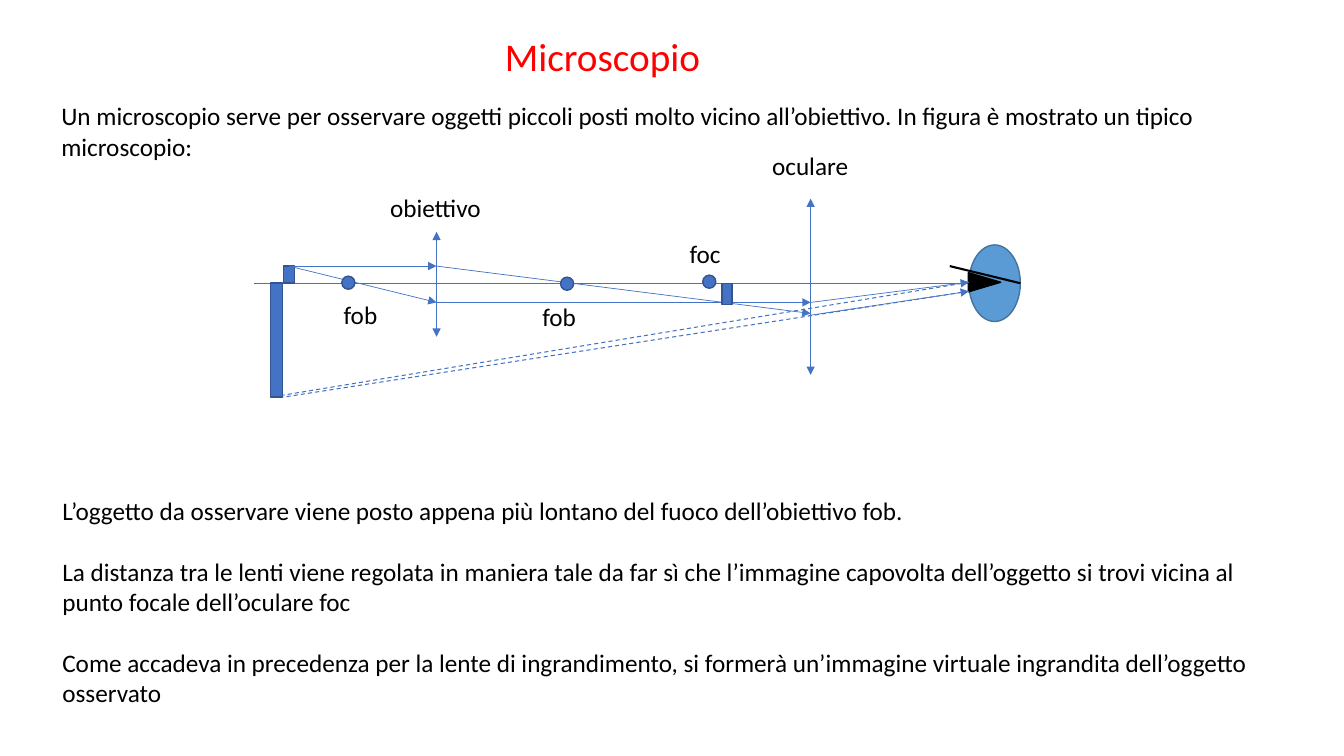
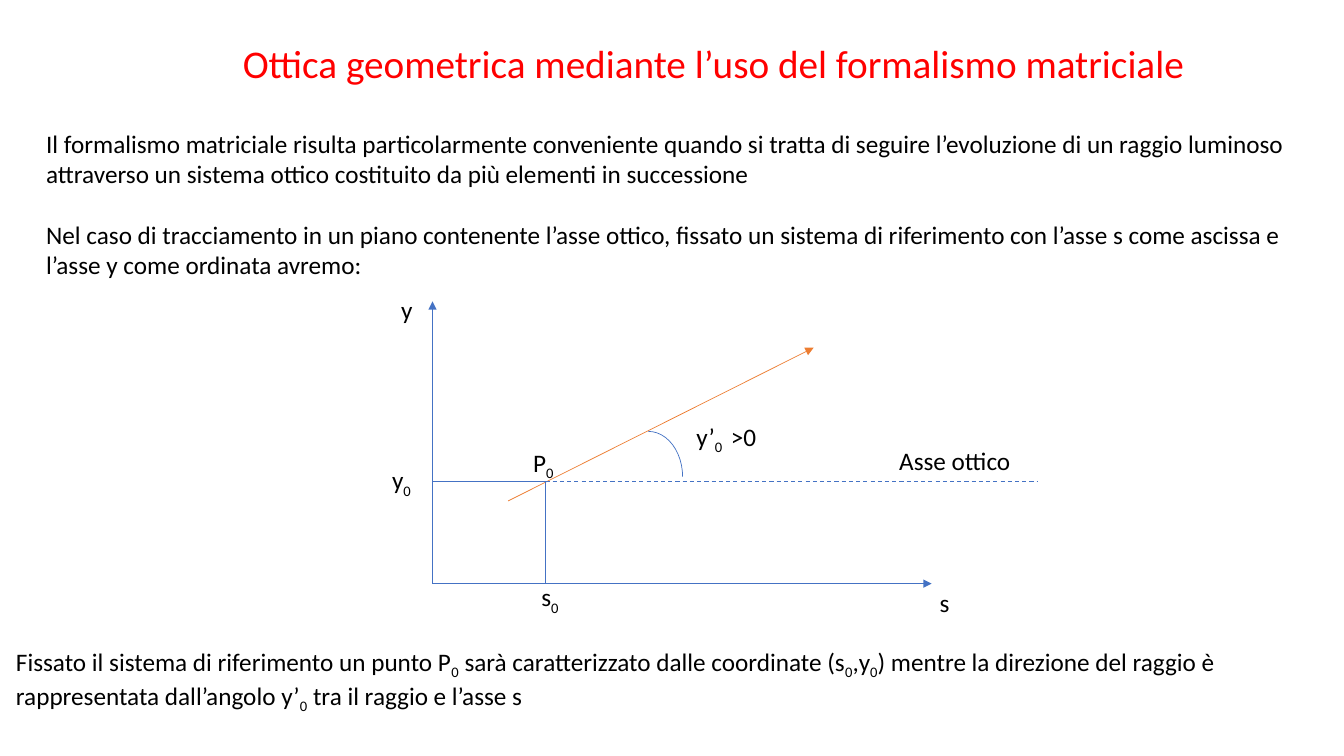
from dataclasses import dataclass
from typing import Any

from lxml import etree
from pptx import Presentation
from pptx import util as u
from pptx.dml.color import RGBColor
from pptx.enum import dml, shapes, text
from pptx.oxml.ns import qn

WIDE, HIGH = 13.33, 7.5
FONT, BODY, HEAD = "Calibri", 18, 28
BLUE, EDGE, EYE, RIM = "4472C4", "325491", "5B9BD5", "43739E"
RED, BLACK, ORANGE = "FF0000", "000000", "ED7D31"
KIND = shapes.MSO_SHAPE


def tint(fill, code):
    """Give a fill one solid colour."""
    fill.solid()
    fill.fore_color.rgb = RGBColor.from_string(code)


@dataclass
class Grid:
    """A box in inches, cut into columns and rows, that draws its items."""
    pen: Any
    box: tuple
    cols: float
    rows: float

    def spot(self, col, row):
        """Turn a grid point into a place on the slide."""
        x, y, w, h = self.box
        return u.Inches(x + col * w / self.cols), u.Inches(y + row * h / self.rows)

    def frame(self, col, row, w, h):
        """Turn a grid cell into left, top, width and height."""
        x, y = self.spot(col, row)
        right, low = self.spot(col + w, row + h)
        return x, y, right - x, low - y

    def shape(self, kind, cell, fill=BLUE, edge=EDGE, width=1):
        """Draw a preset shape in a cell."""
        item = self.pen.add_shape(kind, *self.frame(*cell))
        item.shadow.inherit = False
        if fill:
            tint(item.fill, fill)
        else:
            item.fill.background()
        tint(item.line.fill, edge)
        item.line.width = u.Pt(width)
        return item

    def line(self, start, end, ends="", color=BLUE, width=0.5, dash=False):
        """Draw a line with arrowheads at the named ends."""
        item = self.pen.add_connector(
            shapes.MSO_CONNECTOR.STRAIGHT, *self.spot(*start), *self.spot(*end))
        tint(item.line.fill, color)
        item.line.width = u.Pt(width)
        if dash:
            item.line.dash_style = dml.MSO_LINE.DASH
        props = item._element.spPr
        for name in ends.split():
            etree.SubElement(props.find(qn("a:ln")), qn(f"a:{name}End"), type="triangle")
        etree.SubElement(props, qn("a:effectLst"))
        return item

    def words(self, cell, *lines, size=BODY, color=BLACK, wrap=False):
        """Write paragraphs, lowering each character after an underscore."""
        frame = self.pen.add_textbox(*self.frame(*cell)).text_frame
        frame.word_wrap = wrap
        frame.auto_size = text.MSO_AUTO_SIZE.SHAPE_TO_FIT_TEXT
        for i, line in enumerate(lines):
            para = frame.add_paragraph() if i else frame.paragraphs[0]
            para.space_before = u.Pt(22 if i else 0)
            first, *rest = line.split("_")
            para.text = first
            for piece in rest:
                low = para.add_run()
                low.text = piece[0]
                low._r.get_or_add_rPr().set("baseline", "-25000")
                if piece[1:]:
                    para.add_run().text = piece[1:]
            for run in para.runs:
                run.font.name, run.font.size = FONT, u.Pt(size)
                tint(run.font.fill, color)


def page(deck, title, cell):
    """Add a blank slide with its red title and return its grid."""
    slide = deck.slides.add_slide(deck.slide_layouts[6])
    grid = Grid(slide.shapes, (0, 0, WIDE, HIGH), WIDE, HIGH)
    grid.words(cell, title, size=HEAD, color=RED)
    return grid


def inset(sheet, box, cols, rows):
    """Open a group with its own grid inside a page."""
    return Grid(sheet.pen.add_group_shape().shapes, box, cols, rows)


def scope(sheet, box):
    """Draw the two lenses, the rays, the images and the eye."""
    g = inset(sheet, box, 77, 26)
    axis, lens, ocular, eye = 14.1, 18.3, 55.4, 71.1
    g.line((0.2, axis), (eye, axis))
    g.shape(KIND.OVAL, (eye, 10.3, 5.1, 7.6), EYE, RIM)
    g.line((76.2, axis), (69.2, 12.4), color=BLACK, width=1.5)
    pupil = g.shape(KIND.ISOSCELES_TRIANGLE, (71.7, 12.4, 1.9, 3.2), BLACK, BLACK)
    pupil.rotation = 90
    for x, top, low in ((ocular, 5.7, 23.2), (lens, 9, 19.4)):
        g.line((x, top), (x, low), "head tail")
    for near, far in ((14.9, 25.4), (14, 25.2)):
        g.line((eye, near), (3.1, far), width=0.75, dash=True)
    g.shape(KIND.RECTANGLE, (1.8, axis, 1.2, 11.3))
    thing = g.shape(KIND.RECTANGLE, (3.1, 12.4, 1.1, 1.7))
    for y in (12.4, 16):
        g.line((3.65, 12.4), (lens, y), "tail").begin_connect(thing, 0)
    rays = (
        ((lens, 12.4), (ocular, 17.1)),
        ((lens, 16), (ocular, 16)),
        ((ocular, 16), (eye, 14)),
        ((ocular - 0.2, 17.3), (eye, 14.9)),
    )
    for start, end in rays:
        g.line(start, end, "tail")
    g.shape(KIND.RECTANGLE, (46.6, axis, 1, 2.1))
    for x, y in ((44.7, 13.3), (30.6, 13.5), (8.9, 13.4)):
        g.shape(KIND.OVAL, (x, y, 1.3, 1.3))
    names = (
        ("foc", 42.4, 9.2, 5.9), ("fob", 27.8, 15.4, 5.8), ("fob", 8.1, 15.2, 6.3),
        ("obiettivo", 12.7, 4.6, 11.2), ("oculare", 50.6, 0.4, 9.6),
    )
    for name, x, y, w in names:
        g.words((x, y, w, 4), name, wrap=name.startswith("fo"))


def graph(sheet, box):
    """Draw the axes, the ray through the point and its angle."""
    g = inset(sheet, box, 66, 34)
    base, left, px, py = 29.9, 5.9, 17.1, 19.8
    g.line((left, base), (left, 1.9), "tail")
    g.line((left, base), (55.4, base), "tail")
    g.line((13.4, 21.7), (43.7, 6.5), "tail", ORANGE)
    g.line((px, py), (px, base))
    g.line((px, py), (left, py))
    g.line((px, py), (65.9, py), width=0.75, dash=True)
    g.shape(KIND.ARC, (23.9, 14.8, 6.8, 9), None, BLUE, 0.5)
    names = (
        ("y", 1.8, 0.7, 3.2), ("s", 55.2, 29.8, 3), ("y_0", 0.9, 17.6, 4),
        ("P_0", 14.9, 15.9, 4.2), ("s_0", 15.7, 29.2, 3.9),
        ("Asse ottico", 51.2, 15.7, 13.2), ("y’_0", 31.1, 13.3, 4.7),
        (">0", 34.5, 13.3, 4.6),
    )
    for name, x, y, w in names:
        g.words((x, y, w, 4), name)


def first(deck):
    """Build the slide on the microscope."""
    p = page(deck, "Microscopio", (4.91, 0.27, 2.16, 0.57))
    p.words(
        (0.51, 0.95, 12.35, 0.71),
        "Un microscopio serve per osservare oggetti piccoli posti molto vicino "
        "all’obiettivo. In figura è mostrato un tipico microscopio:", wrap=True)
    scope(p, (2.5, 1.4, 7.7, 2.6))
    p.words(
        (0.52, 4.86, 12.43, 2.22),
        "L’oggetto da osservare viene posto appena più lontano del fuoco "
        "dell’obiettivo fob.",
        "La distanza tra le lenti viene regolata in maniera tale da far sì che "
        "l’immagine capovolta dell’oggetto si trovi vicina al punto focale "
        "dell’oculare foc",
        "Come accadeva in precedenza per la lente di ingrandimento, si formerà "
        "un’immagine virtuale ingrandita dell’oggetto osservato", wrap=True)


def second(deck):
    """Build the slide on the matrix formalism."""
    p = page(deck, "Ottica geometrica mediante l’uso del formalismo matriciale",
             (2.31, 0.34, 9.64, 0.57))
    p.words(
        (0.36, 1.22, 12.6, 1.62),
        "Il formalismo matriciale risulta particolarmente conveniente quando si "
        "tratta di seguire l’evoluzione di un raggio luminoso attraverso un sistema "
        "ottico costituito da più elementi in successione",
        "Nel caso di tracciamento in un piano contenente l’asse ottico, fissato un "
        "sistema di riferimento con l’asse s come ascissa e l’asse y come ordinata "
        "avremo:", wrap=True)
    graph(p, (3.7, 2.8, 6.6, 3.4))
    p.words(
        (0.06, 6.36, 13.02, 0.71),
        "Fissato il sistema di riferimento un punto P_0 sarà caratterizzato dalle "
        "coordinate (s_0,y_0) mentre la direzione del raggio è rappresentata "
        "dall’angolo y’_0 tra il raggio e l’asse s", wrap=True)


def main():
    """Build and save the deck."""
    deck = Presentation()
    deck.slide_width, deck.slide_height = u.Inches(WIDE), u.Inches(HIGH)
    first(deck)
    second(deck)
    deck.save("out.pptx")


if __name__ == "__main__":
    main()
